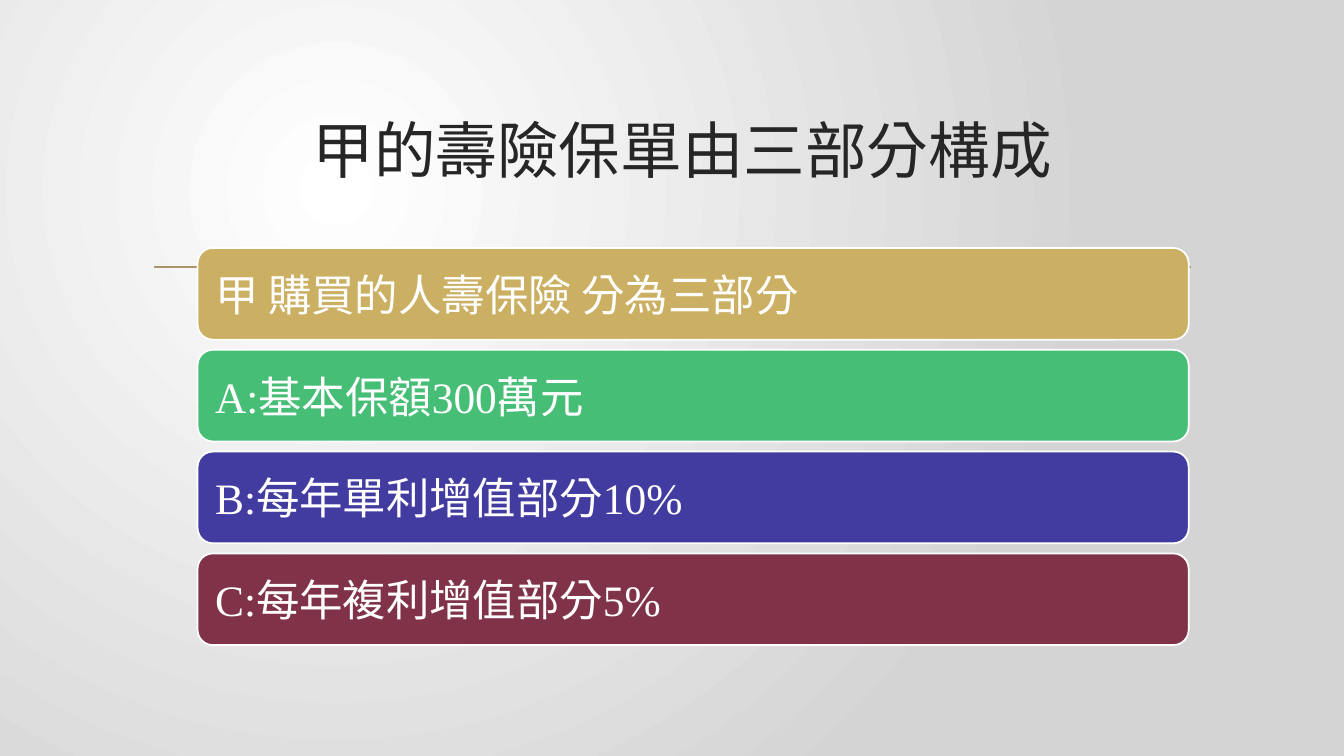
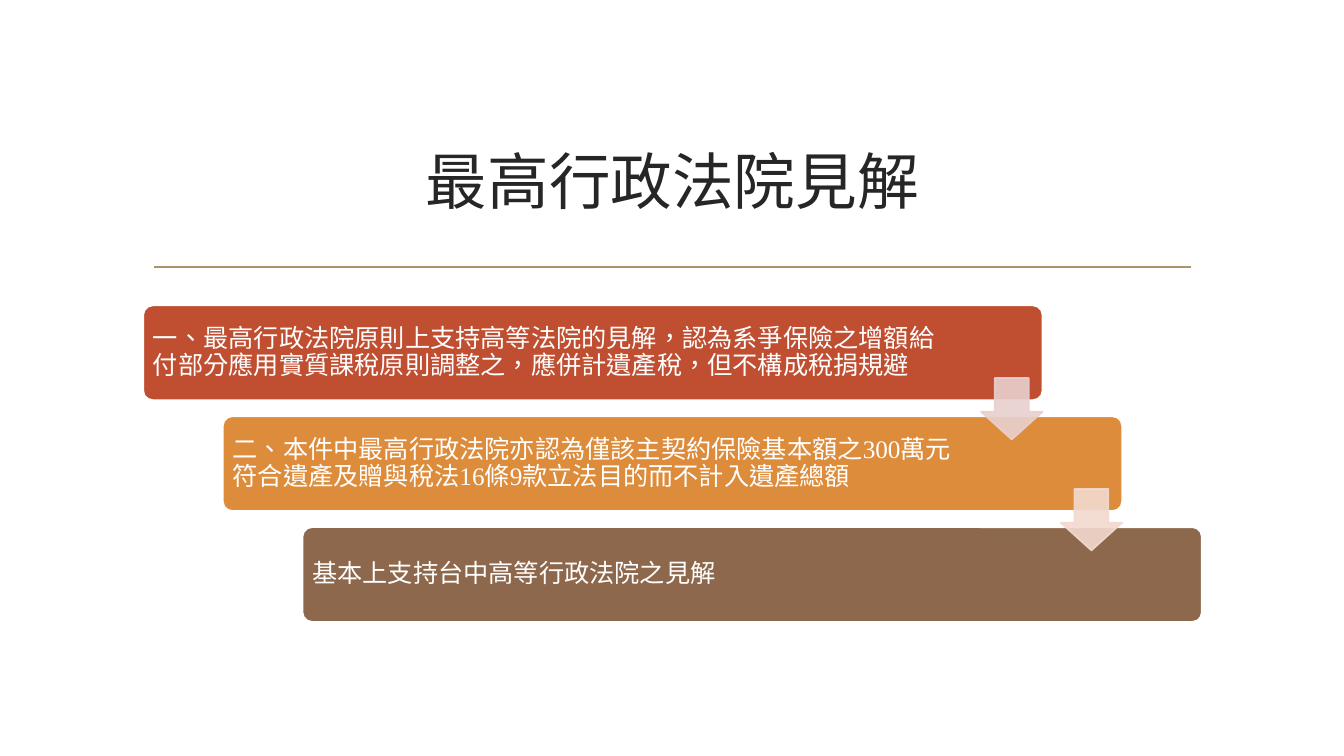
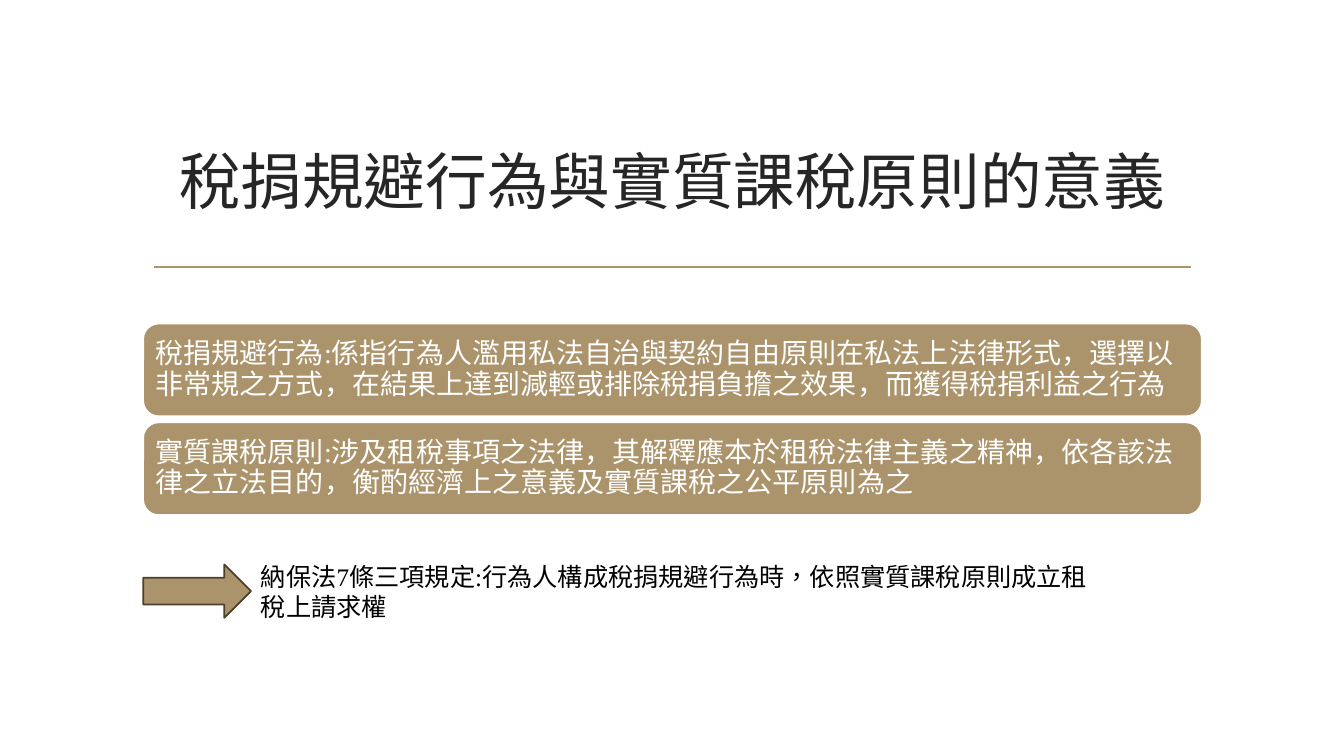
from lxml.etree import SubElement as Sub
from pptx import Presentation
from pptx.dml.color import RGBColor
from pptx.enum.lang import MSO_LANGUAGE_ID as Lang
from pptx.enum.shapes import MSO_CONNECTOR as Link, MSO_SHAPE as Kind
from pptx.enum.text import MSO_ANCHOR as Anchor, MSO_AUTO_SIZE as Auto, PP_ALIGN as Align
from pptx.oxml.ns import qn
from pptx.util import Inches, Pt

FONT = "Times New Roman"
INK, WHITE, BLACK = "262626", "FFFFFF", "000000"
GOLD, BROWN = "AB946B", "4B412F"
EDGE = 1.25
TITLE = (1.42, 1.07, 10.5, 1.43)


def tint(code):
    return RGBColor.from_string(code)


def span(at):
    return [Inches(n) for n in at]


class Deck:
    """Holds the shared style and the slide being filled."""

    def __init__(self):
        self.prs = Presentation()
        self.prs.slide_width, self.prs.slide_height = span((13.33, 7.5))
        self.base = self.prs.slide_layouts[5]
        self.page = None

    def start(self, title, at=TITLE):
        self.page = self.prs.slides.add_slide(self.base)
        head = self.page.shapes.title
        head.left, head.top, head.width, head.height = span(at)
        head.text_frame.vertical_anchor = Anchor.MIDDLE
        self.label(head.text_frame, title, 44, INK).alignment = Align.CENTER

    def label(self, frame, text, size, color, lang=Lang.TRADITIONAL_CHINESE):
        frame.word_wrap = True
        para = frame.paragraphs[0]
        para.text = text
        font = para.font
        font.name, font.size, font.language_id = FONT, Pt(size), lang
        font.color.rgb = tint(color)
        return para

    def rule(self):
        """Draw the line under the title and move it to the layout, for all slides."""
        line = self.page.shapes.add_connector(Link.STRAIGHT, *span((1.53, 2.65, 11.81, 2.65)))
        line.line.color.rgb = tint(GOLD)
        line.line.width = Pt(EDGE)
        Sub(line.element.spPr, qn("a:effectLst"))
        self.base.shapes.element.append(line.element)

    def glow(self, inner, outer):
        """Fill the background with a round gradient centred up and left."""
        fill = self.page.background.fill
        fill.gradient()
        for stop, code in zip(fill.gradient_stops, (inner, outer)):
            stop.color.rgb = tint(code)
        for lin in list(self.page.element.iter(qn("a:lin"))):
            grad = lin.getparent()
            grad.remove(lin)
            ring = Sub(grad, qn("a:path"), {"path": "circle"})
            Sub(ring, qn("a:fillToRect"), l="50000", t="50000", r="100000", b="100000")

    def shape(self, kind, at, fill, edge=WHITE, adj=(), alpha=None):
        item = self.page.shapes.add_shape(kind, *span(at))
        item.shadow.inherit = False
        item.fill.solid()
        item.fill.fore_color.rgb = tint(fill)
        item.line.color.rgb = tint(edge)
        item.line.width = Pt(EDGE)
        for i, part in enumerate(adj):
            item.adjustments[i] = part
        if alpha:
            for code in item.element.spPr.iter(qn("a:srgbClr")):
                Sub(code, qn("a:alpha"), val=str(alpha * 1000))
        return item

    def box(self, text, at, fill, size, pad, right=None, space=None, adj=(), **kw):
        """Rounded box with left-aligned text; right widens the right margin."""
        frame = self.shape(Kind.ROUNDED_RECTANGLE, at, fill, adj=adj).text_frame
        frame.margin_left = frame.margin_top = frame.margin_bottom = Inches(pad)
        frame.margin_right = Inches(right or pad)
        frame.vertical_anchor = Anchor.MIDDLE
        para = self.label(frame, text, size, WHITE, **kw)
        para.alignment = Align.LEFT
        para.line_spacing = space

    def note(self, text, at, size):
        frame = self.page.shapes.add_textbox(*span(at)).text_frame
        self.label(frame, text, size, BLACK)
        frame.auto_size = Auto.SHAPE_TO_FIT_TEXT


def parts(deck):
    deck.start("甲的壽險保單由三部分構成", (1.46, 0.78, 10.62, 1.4))
    deck.rule()
    deck.glow(WHITE, "D4D4D4")
    rows = [
        ("甲 購買的人壽保險 分為三部分", "CBAF62"),
        ("A:基本保額300萬元", "46BE76"),
        ("B:每年單利增值部分10%", "423CA0"),
        ("C:每年複利增值部分5%", "803348"),
    ]
    for i, (text, fill) in enumerate(rows):
        deck.box(text, (1.96, 2.46 + 1.01 * i, 9.83, 0.91), fill, 31, 0.13)


def views(deck):
    deck.start("最高行政法院見解")
    steps = [
        ("一、最高行政法院原則上支持高等法院的見解，認為系爭保險之增額給付部分應用"
         "實質課稅原則調整之，應併計遺產稅，但不構成稅捐規避", "C04F32", 1.03),
        ("二、本件中最高行政法院亦認為僅該主契約保險基本額之300萬元符合遺產及贈與"
         "稅法16條9款立法目的而不計入遺產總額", "DD8C3C", 1.46),
        ("基本上支持台中高等行政法院之見解", "8E684C", 1.46),
    ]
    dx, dy = 0.79, 1.1
    for i, (text, fill, right) in enumerate(steps):
        at = (1.42 + dx * i, 3.03 + dy * i, 8.92, 0.94)
        deck.box(text, at, fill, 18, 0.07, right, 0.9, adj=[0.1])
    for i, fill in enumerate(("E8D0CE", "F2DACE")):
        at = (9.73 + dx * i, 3.75 + dy * i, 0.61, 0.61)
        deck.shape(Kind.DOWN_ARROW, at, fill, fill, (0.55, 0.45), 90)


def terms(deck):
    deck.start("稅捐規避行為與實質課稅原則的意義")
    texts = [
        "稅捐規避行為:係指行為人濫用私法自治與契約自由原則在私法上法律形式，選擇以"
        "非常規之方式，在結果上達到減輕或排除稅捐負擔之效果，而獲得稅捐利益之行為",
        "實質課稅原則:涉及租稅事項之法律，其解釋應本於租稅法律主義之精神，依各該法"
        "律之立法目的，衡酌經濟上之意義及實質課稅之公平原則為之",
    ]
    for i, text in enumerate(texts):
        deck.box(text, (1.42, 3.21 + 0.98 * i, 10.5, 0.92), GOLD, 20, 0.08,
                 space=0.9, lang=Lang.SIMPLIFIED_CHINESE)
    deck.shape(Kind.RIGHT_ARROW, (1.42, 5.6, 1.07, 0.53), GOLD, BROWN)
    deck.note("納保法7條三項規定:行為人構成稅捐規避行為時，依照實質課稅原則成立租稅上請求權",
              (2.49, 5.52, 8.53, 0.71), 18)


def main():
    deck = Deck()
    for fill in (parts, views, terms):
        fill(deck)
    deck.prs.save("out.pptx")


if __name__ == "__main__":
    main()
